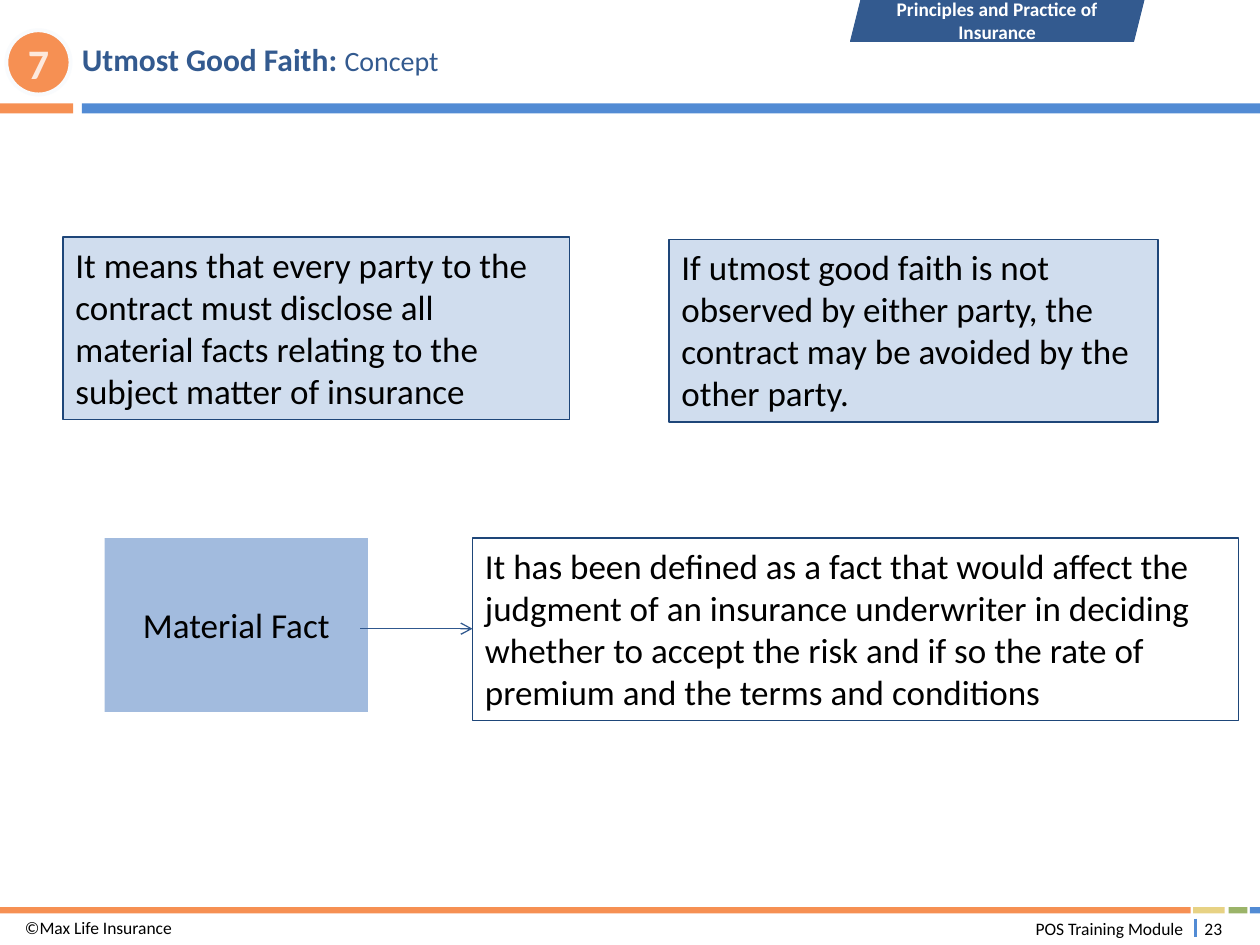
"""Build the Utmost Good Faith concept slide on a grid of 100 columns by 75 rows."""
import pptx
import pptx.dml.color
import pptx.enum.shapes
import pptx.enum.text
import pptx.oxml
import pptx.oxml.ns
import pptx.util

RGBColor = pptx.dml.color.RGBColor
SHAPE = pptx.enum.shapes.MSO_SHAPE
ALIGN = pptx.enum.text.PP_ALIGN
ANCHOR = pptx.enum.text.MSO_ANCHOR

BLUE = RGBColor(0x52, 0x8B, 0xD4)
DARK_BLUE = RGBColor(0x33, 0x5A, 0x8F)
BORDER_BLUE = RGBColor(0x1E, 0x46, 0x79)
ARROW_BLUE = RGBColor(0x30, 0x58, 0x8E)
PALE_BLUE = RGBColor(0xD0, 0xDD, 0xEE)
MID_BLUE = RGBColor(0xA2, 0xBB, 0xDE)
ORANGE = RGBColor(0xF6, 0x90, 0x53)
PEACH = RGBColor(0xFD, 0xE9, 0xDD)
YELLOW = RGBColor(0xE7, 0xD2, 0x84)
GREEN = RGBColor(0x9B, 0xB4, 0x69)
OFF_WHITE = RGBColor(0xF9, 0xFB, 0xFD)
WHITE = RGBColor(0xFF, 0xFF, 0xFF)
BLACK = RGBColor(0, 0, 0)

COLUMNS, ROWS = 100, 75
FONT = "Calibri"
BODY = {"size": 20, "color": BLACK}
SMALL = {"size": 10, "color": BLACK}

BARS = [
    ((6.5, 8.2, 93.5, 0.8), BLUE),
    ((0, 8.2, 5.8, 0.8), ORANGE),
    ((0, 72, 94.5, 0.5), ORANGE),
    ((94.7, 72, 2.5, 0.5), YELLOW),
    ((97.5, 72, 1.5, 0.5), GREEN),
    ((99.2, 72, 0.8, 0.5), BLUE),
]

BADGES = [
    (SHAPE.OVAL, (0.5, 2.4, 5.1, 5.1), ORANGE, (OFF_WHITE, 2.25), "7",
     {"size": 24, "bold": True, "color": PEACH}, 0),
    (SHAPE.PARALLELOGRAM, (67.5, 0, 23.3, 3.3), DARK_BLUE, (DARK_BLUE, 0.5),
     "Principles and Practice of Insurance",
     {"size": 11, "bold": True, "color": WHITE}, 0.06),
]

STATEMENTS = [
    ((5, 18.8, 40.2, 14.5), PALE_BLUE,
     "It means that every party to the contract must disclose all material facts "
     "relating to the subject matter of insurance"),
    ((53.1, 19, 38.8, 14.5), PALE_BLUE,
     "If utmost good faith is not observed by either party, the contract may be "
     "avoided by the other party."),
    ((37.5, 42.7, 60.8, 14.5), None,
     "It has been defined as a fact that would affect the judgment of an insurance "
     "underwriter in deciding whether to accept the risk and if so the rate of "
     "premium and the terms and conditions"),
]

TERM = ((8.3, 42.7, 20.9, 13.8), "Material Fact")

TITLE = [
    ("Utmost Good Faith: ", {"size": 18, "bold": True, "color": DARK_BLUE}),
    ("Concept", {"size": 16, "bold": False, "color": DARK_BLUE}),
]

LABELS = [
    ((6.5, 1.1, 86, 7.1), TITLE, ALIGN.LEFT, 0),
    ((94.8, 72.7, 3, 2), [("23", SMALL)], ALIGN.CENTER, 0.05),
    ((73.1, 72.7, 21.3, 2), [("POS Training Module", SMALL)], ALIGN.RIGHT, 0.05),
    ((1, 72.5, 31.3, 2.3), [("©Max Life Insurance", SMALL)], ALIGN.LEFT, 0.1),
]

CONNECTORS = [
    ((94.9, 72.9, 94.9, 74.4), BLUE, 1.5, False),
    ((28.6, 49.9, 37.5, 49.9), ARROW_BLUE, 0.75, True),
]

presentation = pptx.Presentation()
presentation.slide_width = pptx.util.Inches(10)
presentation.slide_height = pptx.util.Inches(7.5)
slide = presentation.slides.add_slide(presentation.slide_layouts[6])


def place(cells):
    """Turn column and row pairs into slide lengths."""
    units = (presentation.slide_width / COLUMNS, presentation.slide_height / ROWS)
    return [round(cell * units[index % 2]) for index, cell in enumerate(cells)]


def write(shape, runs, align, inset, anchor=ANCHOR.MIDDLE):
    """Fill a shape with one paragraph of formatted runs."""
    margin = pptx.util.Inches(inset)
    frame_format = {"word_wrap": True, "vertical_anchor": anchor,
                    "margin_left": margin, "margin_right": margin,
                    "margin_top": min(margin, pptx.util.Inches(0.05)),
                    "margin_bottom": min(margin, pptx.util.Inches(0.05))}
    for name, value in frame_format.items():
        setattr(shape.text_frame, name, value)
    paragraph = shape.text_frame.paragraphs[0]
    paragraph.alignment = align
    for text, style in runs:
        run = paragraph.add_run()
        run.text = text
        run.font.color.rgb = style["color"]
        font_format = {"name": FONT, "size": pptx.util.Pt(style["size"]),
                       "bold": style.get("bold", False)}
        for name, value in font_format.items():
            setattr(run.font, name, value)


def draw(kind, cells, fill=None, line=None):
    """Add a preset shape without shadow."""
    shape = slide.shapes.add_shape(kind, *place(cells))
    shape.shadow.inherit = False
    if fill is None:
        shape.fill.background()
    else:
        shape.fill.solid()
        shape.fill.fore_color.rgb = fill
    if line is None:
        shape.line.fill.background()
    else:
        shape.line.color.rgb, shape.line.width = line[0], pptx.util.Pt(line[1])
    return shape


def connect(cells, color, width, arrow):
    """Add a straight line, with an open arrowhead at its end if asked."""
    connector = slide.shapes.add_connector(
        pptx.enum.shapes.MSO_CONNECTOR.STRAIGHT, *place(cells))
    connector.line.color.rgb = color
    connector.line.width = pptx.util.Pt(width)
    if arrow:
        head = pptx.oxml.parse_xml(
            f'<a:tailEnd {pptx.oxml.ns.nsdecls("a")} type="arrow"/>')
        connector.line._get_or_add_ln().append(head)
    connector._element.spPr.append(
        pptx.oxml.parse_xml(f'<a:effectLst {pptx.oxml.ns.nsdecls("a")}/>'))


for cells, color in BARS:
    draw(SHAPE.RECTANGLE, cells, color)

for cells, runs, align, inset in LABELS:
    write(slide.shapes.add_textbox(*place(cells)), runs, align, inset)

for kind, cells, fill, line, text, style, inset in BADGES:
    write(draw(kind, cells, fill, line), [(text, style)], ALIGN.CENTER, inset)

for cells, fill, text in STATEMENTS:
    box = draw(SHAPE.RECTANGLE, cells, fill, (BORDER_BLUE, 0.75))
    write(box, [(text, BODY)], ALIGN.LEFT, 0.1, ANCHOR.TOP)

term_cells, term_text = TERM
write(draw(SHAPE.RECTANGLE, term_cells, MID_BLUE), [(term_text, BODY)], ALIGN.CENTER, 0.1)

for cells, color, width, arrow in CONNECTORS:
    connect(cells, color, width, arrow)

presentation.save("out.pptx")
